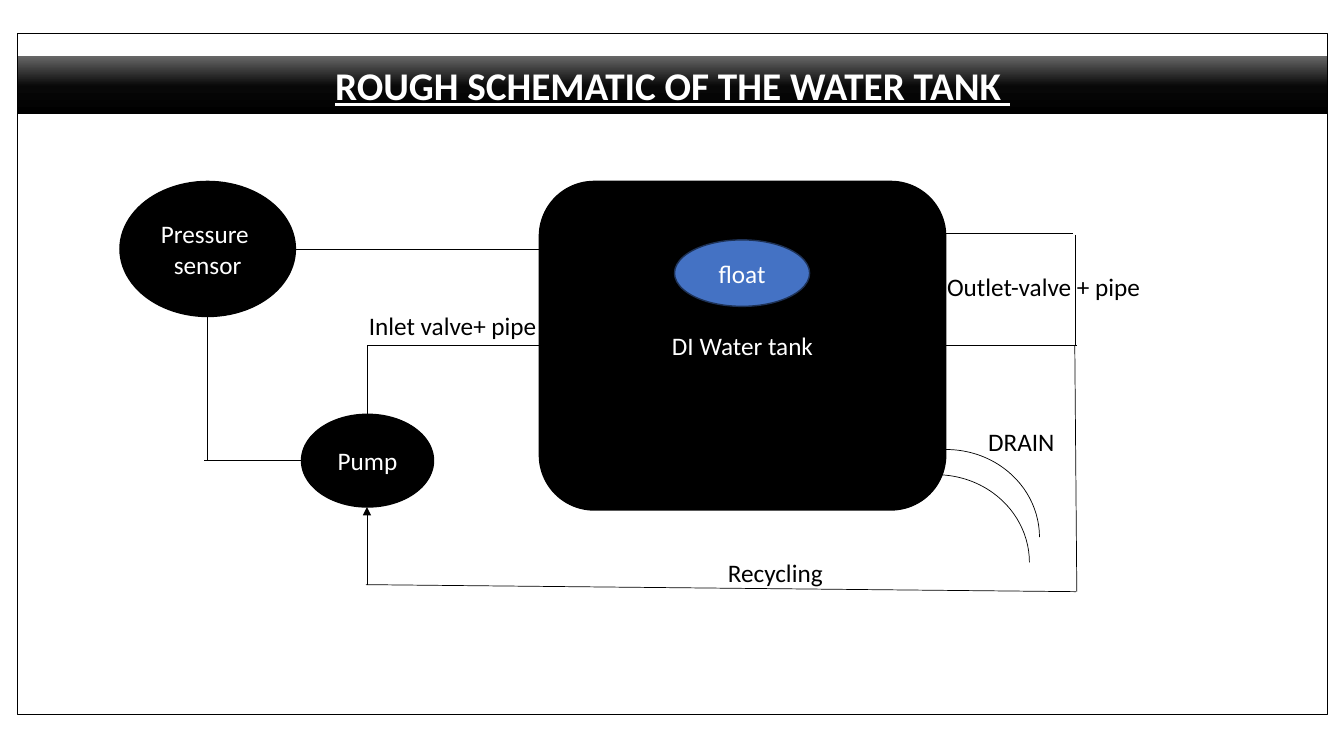
"""Builds a slide with a rough schematic of a water tank."""
from copy import deepcopy
from pptx import Presentation
from pptx.dml.color import RGBColor as RGB
from pptx.enum.shapes import MSO_CONNECTOR as CON, MSO_SHAPE as GEO
from pptx.enum.text import MSO_ANCHOR as ANC, PP_ALIGN as AL
from pptx.oxml.ns import qn
from pptx.util import Pt

PX = 9144
FONT = "Calibri"
HUE = {"ink": "000000", "paper": "FFFFFF", "float": "4472C4", "rim": "1E3256"}
FADE = [(0, "000000"), (0.48, "080808"), (1, "666666")]

TITLE = ("ROUGH SCHEMATIC OF THE WATER TANK ", (17, 56, 1300, 57))
FRAME = (17, 33, 1300, 676)
PARTS = [
    (GEO.ROUNDED_RECTANGLE, (535, 180, 403, 326), ["DI Water tank"], "ink", "ink"),
    (GEO.OVAL, (669, 238, 134, 66), ["float"], "float", "rim"),
    (GEO.OVAL, (299, 411, 131, 92), ["Pump"], "ink", "ink"),
    (GEO.OVAL, (119, 180, 174, 134), ["Pressure ", "sensor"], "ink", "ink"),
]
LABELS = [
    ("Inlet valve+ pipe", (327, 303, 244, 40)),
    ("Outlet-valve + pipe", (909, 264, 252, 40)),
    ("Recycling", (702, 548, 134, 40)),
    ("DRAIN", (928, 418, 170, 40)),
]
PIPES = [
    (938, 343, 1068, 343), (535, 343, 364, 343), (364, 411, 364, 343),
    (1066, 343, 1068, 587), (1067, 587, 363, 580), (299, 457, 202, 457),
    (206, 457, 206, 308), (293, 247, 535, 247), (938, 232, 1064, 232),
    (1067, 233, 1067, 343),
]
RETURN = (364, 580, 364, 503)
DRAINS = [(846, 446, 185, 174), (836, 471, 185, 174)]


def emu(box):
    return [n * PX for n in box]


def ink(line, width, hue="ink"):
    line.color.rgb = RGB.from_string(HUE[hue])
    line.width = Pt(width)


def write(shape, rows, hue, size=18, bold=None):
    frame = shape.text_frame
    frame.word_wrap = True
    for i, row in enumerate(rows):
        para = frame.add_paragraph() if i else frame.paragraphs[0]
        para.alignment = AL.CENTER
        run = para.add_run()
        run.text = row
        font = run.font
        font.name, font.size = FONT, Pt(size)
        font.bold = font.underline = bold
        font.color.rgb = RGB.from_string(HUE[hue])
    return frame


def draw(geo, box, fill=None):
    shape = shapes.add_shape(geo, *emu(box))
    shape.shadow.inherit = False
    if fill:
        shape.fill.solid()
        shape.fill.fore_color.rgb = RGB.from_string(HUE[fill])
    else:
        shape.fill.background()
    return shape


def pipe(ends):
    line = shapes.add_connector(CON.STRAIGHT, *emu(ends))
    ink(line.line, 0.5)
    props = line._element.spPr
    props.append(props.makeelement(qn("a:effectLst"), {}))
    return line


def fade(fill):
    fill.gradient()
    fill.gradient_angle = 90
    first = fill._fill._gradFill.find(qn("a:gsLst"))[0]
    first.addnext(deepcopy(first))
    for stop, (spot, hue) in zip(fill.gradient_stops, FADE):
        stop.position = spot
        stop.color.rgb = RGB.from_string(hue)


deck = Presentation()
deck.slide_width, deck.slide_height = emu((1333, 750))
shapes = deck.slides.add_slide(deck.slide_layouts[6]).shapes

for geo, box, rows, fill, edge in PARTS:
    part = draw(geo, box, fill)
    ink(part.line, 1, edge)
    write(part, rows, "paper").vertical_anchor = ANC.MIDDLE

for ends in PIPES:
    pipe(ends)
tip = pipe(RETURN).line._get_or_add_ln()
tip.append(tip.makeelement(qn("a:tailEnd"), {"type": "triangle"}))

for text, box in LABELS:
    write(shapes.add_textbox(*emu(box)), [text], "ink")

text, box = TITLE
band = draw(GEO.RECTANGLE, box)
fade(band.fill)
band.line.fill.background()
write(band, [text], "paper", 28, True).vertical_anchor = ANC.TOP

ink(draw(GEO.RECTANGLE, FRAME).line, 0.75)
for box in DRAINS:
    ink(draw(GEO.ARC, box).line, 0.5)

deck.save("out.pptx")
